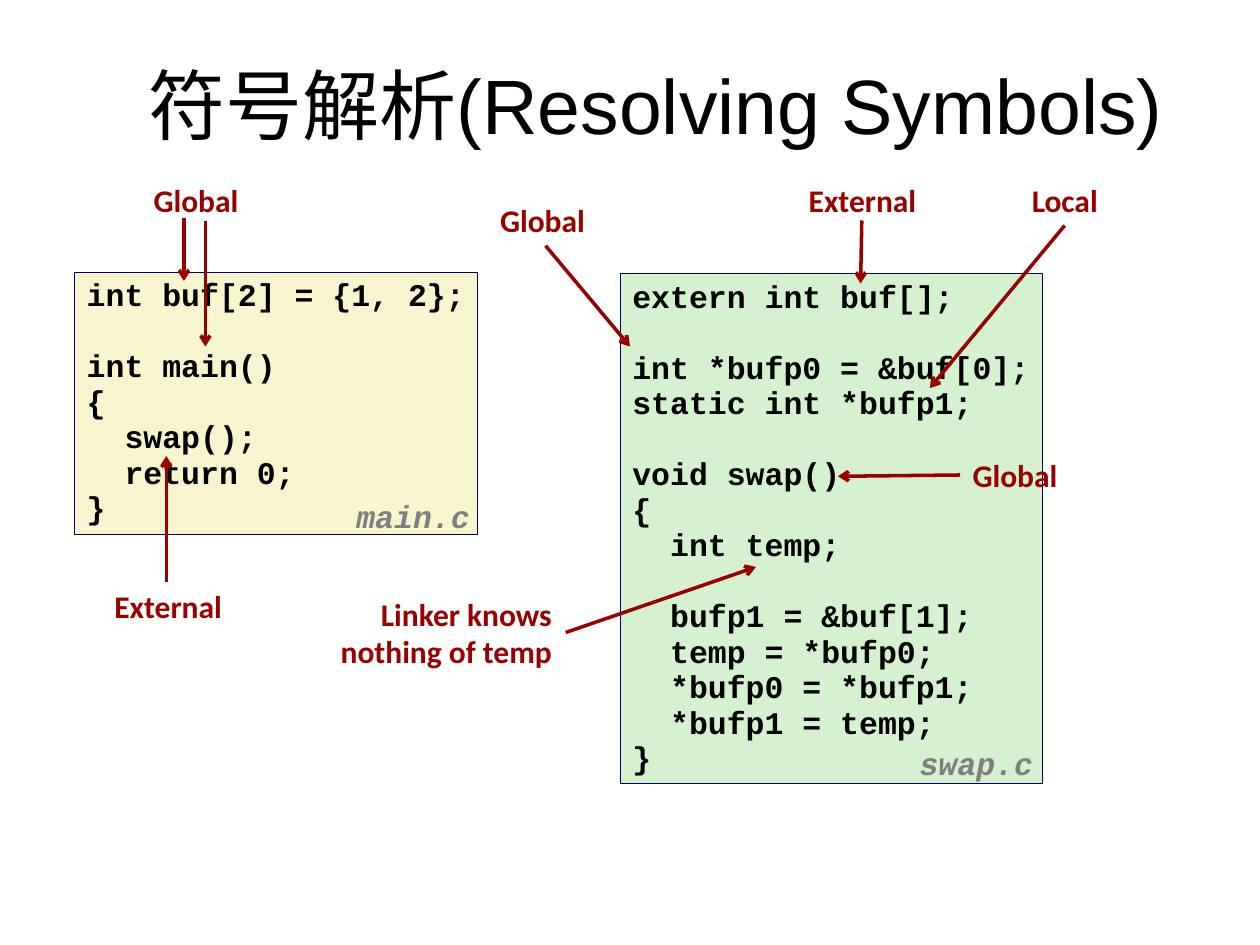
from pptx import Presentation
from pptx.dml.color import RGBColor
from pptx.enum.shapes import MSO_CONNECTOR, MSO_SHAPE
from pptx.enum.text import MSO_ANCHOR, MSO_AUTO_SIZE, PP_ALIGN
from pptx.oxml.ns import qn
from pptx.util import Inches, Pt
from lxml import etree

CODE = {"name": "Courier New", "size": Pt(18), "bold": True}
FILE_NAME = {**CODE, "italic": True}
LABEL = {"name": "Calibri", "size": Pt(18), "bold": True}
TITLE = {"name": "Arial", "size": Pt(44)}
RED = "990000"

MAIN_CODE = """int buf[2] = {1, 2};

int main()
{
  swap();
  return 0;
}"""

SWAP_CODE = """extern int buf[];

int *bufp0 = &buf[0];
static int *bufp1;

void swap()
{
  int temp;

  bufp1 = &buf[1];
  temp = *bufp0;
  *bufp0 = *bufp1;
  *bufp1 = temp;
}"""

# label text, box, alignment, arrows as (from x, from y, to x, to y)
ANNOTATIONS = [
    ("Global", (1.12, 1.39, 0.92, 0.4), PP_ALIGN.LEFT,
     [(1.46, 1.73, 1.46, 2.23), (1.63, 1.75, 1.63, 2.75)]),
    ("External", (0.81, 4.61, 1.1, 0.4), PP_ALIGN.LEFT, [(1.32, 4.62, 1.32, 3.62)]),
    ("External", (6.32, 1.39, 1.1, 0.4), PP_ALIGN.LEFT, [(6.84, 1.75, 6.83, 2.25)]),
    ("Local", (8.09, 1.39, 0.78, 0.4), PP_ALIGN.LEFT, [(8.45, 1.79, 7.38, 3.08)]),
    ("Global", (7.62, 3.57, 0.92, 0.4), PP_ALIGN.LEFT, [(7.62, 3.77, 6.65, 3.78)]),
    ("Linker knows\nnothing of temp", (2.55, 4.67, 1.93, 0.7), PP_ALIGN.RIGHT,
     [(4.49, 5.02, 6, 4.5)]),
    ("Global", (3.87, 1.55, 0.92, 0.4), PP_ALIGN.LEFT, [(4.33, 1.95, 5, 2.75)]),
]


def color(value):
    return RGBColor.from_string(value)


def write_text(shape, text, font_format, font_color, alignment=PP_ALIGN.LEFT,
               line_spacing=None):
    frame = shape.text_frame
    frame.word_wrap = False
    frame.auto_size = MSO_AUTO_SIZE.SHAPE_TO_FIT_TEXT
    frame.vertical_anchor = MSO_ANCHOR.TOP
    for index, line in enumerate(text.split("\n")):
        paragraph = frame.add_paragraph() if index else frame.paragraphs[0]
        paragraph.alignment = alignment
        paragraph.line_spacing = line_spacing
        run = paragraph.add_run()
        run.text = line or " "  # an empty code line keeps its height
        for attribute, value in font_format.items():
            setattr(run.font, attribute, value)
        run.font.color.rgb = color(font_color)


def add_text(slide, box, *text_options):
    shape = slide.shapes.add_textbox(*map(Inches, box))
    write_text(shape, *text_options)
    return shape


def add_title(slide, box):
    shape = add_text(slide, box, "符号解析(Resolving Symbols)", TITLE, "000000",
                     PP_ALIGN.CENTER)
    frame = shape.text_frame
    frame.word_wrap = True
    frame.auto_size = MSO_AUTO_SIZE.NONE
    frame.vertical_anchor = MSO_ANCHOR.MIDDLE


def add_code_panel(slide, box, code, fill, file_name, name_offset):
    shape = slide.shapes.add_shape(MSO_SHAPE.RECTANGLE, *map(Inches, box))
    shape.shadow.inherit = False
    shape.fill.solid()
    shape.fill.fore_color.rgb = color(fill)
    shape.line.color.rgb = color("000066")
    shape.line.width = Pt(0.25)
    write_text(shape, code, CODE, "000000", PP_ALIGN.LEFT, 0.94)

    # File name in the lower right corner
    left, top = box[0] + name_offset[0], box[1] + name_offset[1]
    add_text(slide, (left, top, 1.1, 0.38), file_name, FILE_NAME, "7F7F7F",
             PP_ALIGN.LEFT, 0.94)


def add_arrow(slide, ends):
    connector = slide.shapes.add_connector(MSO_CONNECTOR.STRAIGHT, *map(Inches, ends))
    connector.line.color.rgb = color(RED)
    connector.line.width = Pt(2)
    line = connector._element.spPr.find(qn("a:ln"))
    etree.SubElement(line, qn("a:tailEnd"), type="arrow")
    etree.SubElement(connector._element.spPr, qn("a:effectLst"))


def add_annotation(slide, box, text, alignment, arrows):
    add_text(slide, box, text, LABEL, RED, alignment)
    for ends in arrows:
        add_arrow(slide, ends)


def main():
    presentation = Presentation()
    presentation.slide_width = Inches(10)
    presentation.slide_height = Inches(7.5)
    slide = presentation.slides.add_slide(presentation.slide_layouts[6])

    add_title(slide, (0.44, 0.39, 9.53, 0.86))
    add_code_panel(slide, (0.59, 2.16, 3.2, 2.08), MAIN_CODE, "F7F5CD",
                   "main.c", (2.14, 1.76))
    add_code_panel(slide, (4.92, 2.17, 3.35, 4.05), SWAP_CODE, "D5F1CF",
                   "swap.c", (2.28, 3.71))
    for text, box, alignment, arrows in ANNOTATIONS:
        add_annotation(slide, box, text, alignment, arrows)

    presentation.save("out.pptx")


if __name__ == "__main__":
    main()
